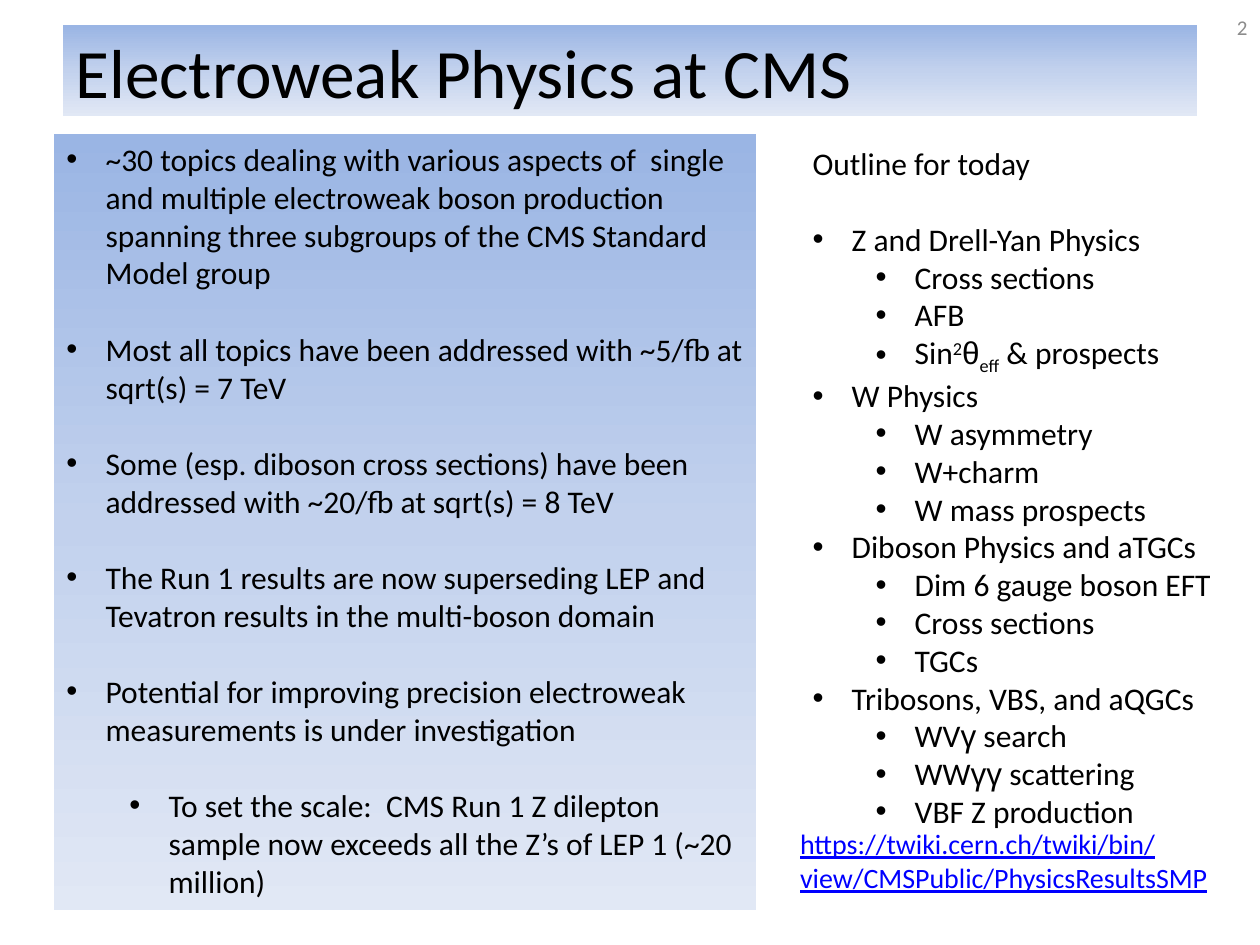
from copy import deepcopy
from dataclasses import dataclass

from lxml.etree import SubElement
from pptx import Presentation
from pptx.dml.color import RGBColor as Rgb
from pptx.enum.shapes import MSO_SHAPE as Shape
from pptx.enum.text import MSO_ANCHOR as Anchor, MSO_AUTO_SIZE as AutoSize, PP_ALIGN as Align
from pptx.oxml.ns import qn
from pptx.util import Cm, Pt


@dataclass(frozen=True)
class Theme:
    font: str = "Calibri"
    greek_font: str = "Arial"
    text: Rgb = Rgb(0x00, 0x00, 0x00)
    muted: Rgb = Rgb(0x8C, 0x8C, 0x8C)
    link: Rgb = Rgb(0x00, 0x00, 0xFF)
    gradient: tuple = ((0, Rgb(0x9A, 0xB5, 0xE4)), (0.5, Rgb(0xC2, 0xD1, 0xED)),
                       (1, Rgb(0xE1, 0xE8, 0xF5)))
    title_size: float = 39.6
    body_size: float = 18
    link_size: float = 16
    number_size: float = 12
    line_gap: float = 22


THEME = Theme()
HANGING = Cm(0.79)
LEVEL_STEP = Cm(1.27)

# Each entry: level, text or pieces of (text, format)
SUMMARY = [
    (0, "~30 topics dealing with various aspects of  single and multiple electroweak boson "
        "production spanning three subgroups of the CMS Standard Model group"),
    (0, "Most all topics have been addressed with ~5/fb at sqrt(s) = 7 TeV"),
    (0, "Some (esp. diboson cross sections) have been addressed with ~20/fb at sqrt(s) = 8 TeV"),
    (0, "The Run 1 results are now superseding LEP and Tevatron results in the "
        "multi-boson domain"),
    (0, "Potential for improving precision electroweak measurements is under investigation"),
    (1, "To set the scale:  CMS Run 1 Z dilepton sample now exceeds all the Z’s of LEP 1 "
        "(~20 million)"),
]
GREEK = {"font": THEME.greek_font}
OUTLINE = [
    (0, "Z and Drell-Yan Physics"),
    (1, "Cross sections"),
    (1, "AFB"),
    (1, [("Sin", {}), ("2", {"baseline": 30}), ("θ", GREEK), ("eff", {"baseline": -25}),
         (" & prospects", {})]),
    (0, "W Physics"),
    (1, "W asymmetry"),
    (1, "W+charm"),
    (1, "W mass prospects"),
    (0, "Diboson Physics and aTGCs"),
    (1, "Dim 6 gauge boson EFT"),
    (1, "Cross sections"),
    (1, "TGCs"),
    (0, "Tribosons, VBS, and aQGCs"),
    (1, [("WV", {}), ("γ", GREEK), (" search", {})]),
    (1, [("WW", {}), ("γγ", GREEK), (" scattering", {})]),
    (1, "VBF Z production"),
]


def add_text(paragraph, text, size=THEME.body_size, color=THEME.text, font=THEME.font,
             underline=None, baseline=None):
    run = paragraph.add_run()
    run.text = text
    run.font.size, run.font.name, run.font.underline = Pt(size), font, underline
    run.font.color.rgb = color
    if baseline:
        run.font._element.set("baseline", str(baseline * 1000))


def add_bullets(frame, entries, gap=0):
    """Append bulleted paragraphs, using the empty first one if there is one."""
    for level, content in entries:
        first = not frame.text
        paragraph = frame.paragraphs[0] if first else frame.add_paragraph()
        paragraph.alignment = Align.LEFT
        paragraph.level = level
        paragraph.space_before = Pt(0 if first else gap)
        properties = paragraph._p.get_or_add_pPr()
        properties.set("marL", str(HANGING + level * LEVEL_STEP))
        properties.set("indent", str(-HANGING))
        SubElement(properties, qn("a:buFont"), typeface="Arial")
        SubElement(properties, qn("a:buChar"), char="•")
        pieces = [(content, {})] if isinstance(content, str) else content
        for text, style in pieces:
            add_text(paragraph, text, **style)


def fill_gradient(shape):
    shape.fill.gradient()
    shape.fill.gradient_angle = 270
    first_stop = shape._element.xpath(".//a:gs")[0]
    first_stop.addnext(deepcopy(first_stop))
    for stop, (position, color) in zip(shape.fill.gradient_stops, THEME.gradient):
        stop.position = position
        stop.color.rgb = color


def add_title(slide, text):
    title = slide.shapes.title
    title.left, title.top, title.width, title.height = Cm(1.27), Cm(0.51), Cm(22.86), Cm(1.82)
    fill_gradient(title)
    frame = title.text_frame
    frame.auto_size = AutoSize.NONE
    frame.vertical_anchor = Anchor.MIDDLE
    frame.paragraphs[0].alignment = Align.LEFT
    add_text(frame.paragraphs[0], text, size=THEME.title_size)


def add_panel(slide, left, top, width, height):
    panel = slide.shapes.add_shape(Shape.RECTANGLE, left, top, width, height)
    panel.shadow.inherit = False
    panel.line.fill.background()
    fill_gradient(panel)
    panel.text_frame.word_wrap = True
    panel.text_frame.vertical_anchor = Anchor.TOP
    return panel.text_frame


def add_box(slide, left, top, width, height, wrap=True):
    frame = slide.shapes.add_textbox(left, top, width, height).text_frame
    frame.word_wrap = wrap
    return frame


def main():
    presentation = Presentation()
    presentation.slide_width, presentation.slide_height = Cm(25.4), Cm(19.05)
    slide = presentation.slides.add_slide(presentation.slide_layouts[5])

    add_title(slide, "Electroweak Physics at CMS")

    # Summary panel on the left
    summary = add_panel(slide, Cm(1.09), Cm(2.7), Cm(14.15), Cm(15.65))
    add_bullets(summary, SUMMARY, gap=THEME.line_gap)

    # Slide number
    number = add_box(slide, Cm(19.48), Cm(0.03), Cm(5.92), Cm(1.02))
    number.vertical_anchor = Anchor.MIDDLE
    number.paragraphs[0].alignment = Align.RIGHT
    add_text(number.paragraphs[0], "2", size=THEME.number_size, color=THEME.muted)

    # Outline on the right
    outline = add_box(slide, Cm(16.13), Cm(2.77), Cm(8.64), Cm(14.1), wrap=False)
    add_text(outline.paragraphs[0], "Outline for today")
    add_bullets(outline, OUTLINE[:1], gap=THEME.line_gap)
    add_bullets(outline, OUTLINE[1:])

    # Address of the results page
    address = add_box(slide, Cm(15.88), Cm(16.54), Cm(8.89), Cm(1.63))
    add_text(address.paragraphs[0],
             "https://twiki.cern.ch/twiki/bin/view/CMSPublic/PhysicsResultsSMP",
             size=THEME.link_size, color=THEME.link, underline=True)

    presentation.save("out.pptx")


if __name__ == "__main__":
    main()
